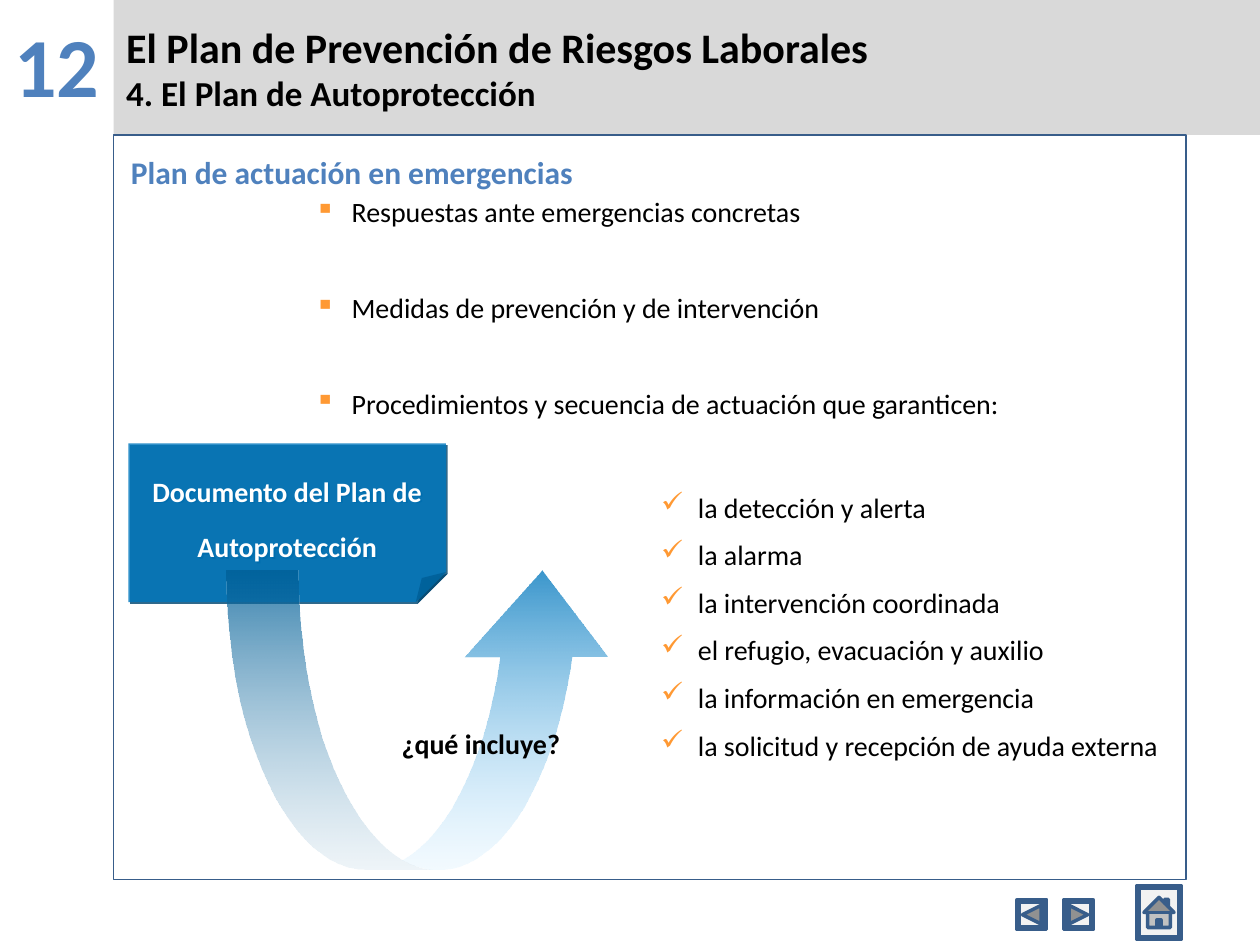
import pptx
import pptx.util
import pptx.dml.color
import pptx.enum.shapes
import pptx.enum.text
import pptx.oxml
import pptx.oxml.ns

Cm = pptx.util.Cm
Pt = pptx.util.Pt
SHAPE = pptx.enum.shapes.MSO_SHAPE
ALIGN = pptx.enum.text.PP_ALIGN
MIDDLE = pptx.enum.text.MSO_ANCHOR.MIDDLE
qn = pptx.oxml.ns.qn
NS = pptx.oxml.ns.nsdecls("a")


def rgb(value):
    return pptx.dml.color.RGBColor.from_string(value)


def write(frame, text, size=16, color="000000", bold=False, align=ALIGN.LEFT,
          spacing=None, after=0, bullet=None, indent=0):
    frame.word_wrap = True
    paragraph = frame.paragraphs[0] if not frame.text else frame.add_paragraph()
    if bullet:
        properties = paragraph._p.get_or_add_pPr()
        properties.set("marL", str(Cm(indent)))
        properties.set("indent", str(Cm(-0.74)))
        for xml in (f'<a:buClr {NS}><a:srgbClr val="FF9933"/></a:buClr>',
                    f'<a:buChar {NS} char="{bullet}"/>'):
            properties.append(pptx.oxml.parse_xml(xml))
    paragraph.alignment = align
    paragraph.line_spacing = spacing
    paragraph.space_after = Pt(after)
    run = paragraph.add_run()
    run.text = text
    run.font.name = "Calibri"
    run.font.size = Pt(size)
    run.font.bold = bold
    run.font.color.rgb = rgb(color)


presentation = pptx.Presentation()
presentation.slide_width = Cm(25.4)
presentation.slide_height = Cm(19.05)
slide = presentation.slides.add_slide(presentation.slide_layouts[5])
shapes = slide.shapes

header = shapes.title
header.left, header.top, header.width, header.height = Cm(2.29), Cm(0), Cm(23.11), Cm(2.72)
header.fill.solid()
header.fill.fore_color.rgb = rgb("D9D9D9")
header.text_frame.auto_size = pptx.enum.text.MSO_AUTO_SIZE.NONE
header.text_frame.vertical_anchor = MIDDLE
write(header.text_frame, "El Plan de Prevención de Riesgos Laborales", size=24, bold=True)
write(header.text_frame, "4. El Plan de Autoprotección", size=20, bold=True)

unit = shapes.add_textbox(Cm(0), Cm(0.15), Cm(2.29), Cm(2.54))
write(unit.text_frame, "12", size=48, color="4F81BD", bold=True, align=ALIGN.CENTER)

border = shapes.add_shape(SHAPE.RECTANGLE, Cm(2.29), Cm(2.72), Cm(21.62), Cm(15.01))
border.shadow.inherit = False
border.fill.background()
border.line.color.rgb = rgb("385D8A")
border.line.width = Pt(0.75)

for icon, left, top, width, height in (
        (SHAPE.ACTION_BUTTON_BACK_OR_PREVIOUS, 20.5, 18.14, 0.6, 0.6),
        (SHAPE.ACTION_BUTTON_FORWARD_OR_NEXT, 21.44, 18.14, 0.6, 0.6),
        (SHAPE.ACTION_BUTTON_HOME, 22.91, 17.86, 0.91, 1.07)):
    for kind, inset in ((SHAPE.RECTANGLE, 0), (icon, 0.05)):
        button = shapes.add_shape(kind, Cm(left + inset), Cm(top + inset),
                                  Cm(width - 2 * inset), Cm(height - 2 * inset))
        button.shadow.inherit = False
        button.fill.solid()
        button.fill.fore_color.rgb = rgb("F2F2F2")
        button.line.color.rgb = rgb("385D8A")
        button.line.width = Pt(2)

heading = shapes.add_textbox(Cm(2.39), Cm(2.97), Cm(20.04), Cm(1.02))
write(heading.text_frame, "Plan de actuación en emergencias", size=18, color="4F81BD", bold=True)

contents = shapes.add_textbox(Cm(6.3), Cm(3.53), Cm(18.21), Cm(11.96)).text_frame
contents.margin_left = contents.margin_right = Cm(0.05)
for topic, after in (
        ("Respuestas ante emergencias concretas", 28),
        ("Medidas de prevención y de intervención", 28),
        ("Procedimientos y secuencia de actuación que garanticen:", 40)):
    write(contents, topic, spacing=1.4, after=after, bullet="▪", indent=0.74)
for guarantee in (
        "la detección y alerta",
        "la alarma",
        "la intervención coordinada",
        "el refugio, evacuación y auxilio",
        "la información en emergencia",
        "la solicitud y recepción de ayuda externa"):
    write(contents, guarantee, after=8, bullet="✓", indent=7.72)

document = shapes.add_shape(SHAPE.FOLDED_CORNER, Cm(2.59), Cm(8.94), Cm(6.4), Cm(3.2))
document._element.spPr.find(qn("a:prstGeom")).get_or_add_avLst().append(
    pptx.oxml.parse_xml(f'<a:gd {NS} name="adj" fmla="val 19000"/>'))
document.shadow.inherit = False
document._element.spPr.find(qn("a:effectLst")).append(pptx.oxml.parse_xml(
    f'<a:outerShdw {NS} blurRad="0" dist="{Pt(1.4)}" dir="2700000">'
    '<a:srgbClr val="004771"/></a:outerShdw>'))
document.fill.solid()
document.fill.fore_color.rgb = rgb("0077BD")
document.line.fill.background()
document.text_frame.margin_left = document.text_frame.margin_right = Cm(0.15)
document.text_frame.vertical_anchor = MIDDLE
write(document.text_frame, "Documento del Plan de Autoprotección", color="FFFFFF", bold=True,
      align=ALIGN.CENTER, spacing=1.65, after=16)

arrow = shapes.add_shape(SHAPE.CURVED_UP_ARROW, Cm(4.57), Cm(11.51), Cm(7.8), Cm(6.02))
for index, ratio in enumerate((0.24, 0.48, 0.29)):
    arrow.adjustments[index] = ratio
arrow.shadow.inherit = False
arrow.line.fill.background()
arrow.fill.gradient()
arrow.fill.gradient_angle = 270
for stop, position, color in zip(arrow.fill.gradient_stops, (0, 1), ("0077BD", "A1DBFF")):
    stop.position = position
    stop.color.rgb = rgb(color)

for part, fill_tag, opacities in ((document, "a:solidFill", (81,)),
                                  (arrow, "a:gradFill", (77, 13))):
    fill = part._element.spPr.find(qn(fill_tag))
    for tint, percent in zip(fill.iter(qn("a:srgbClr")), opacities):
        tint.append(pptx.oxml.parse_xml(f'<a:alpha {NS} val="{percent * 1000}"/>'))

question = shapes.add_textbox(Cm(7.09), Cm(14.53), Cm(5.21), Cm(0.94))
write(question.text_frame, "¿qué incluye?", bold=True, align=ALIGN.CENTER)

presentation.save("out.pptx")
